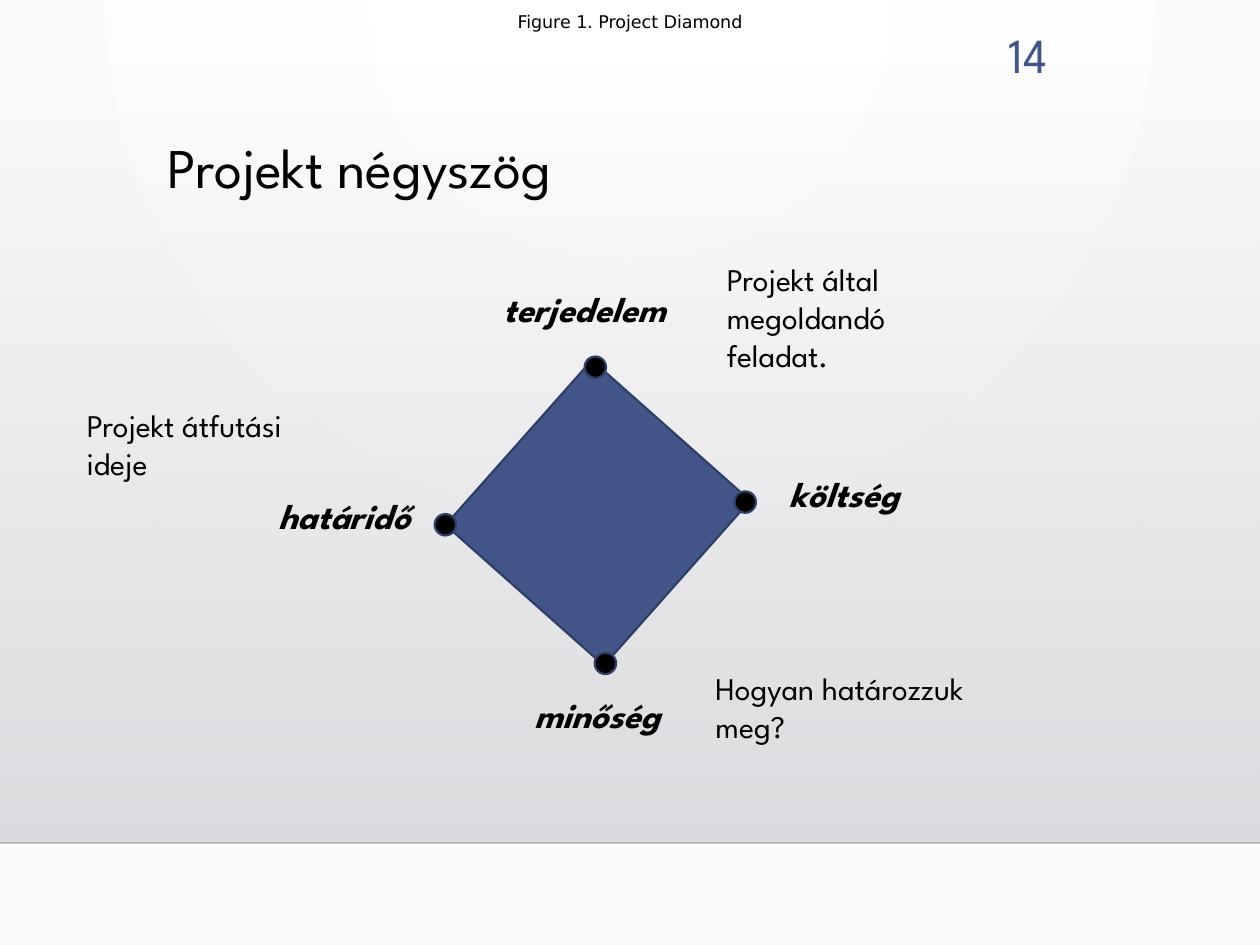
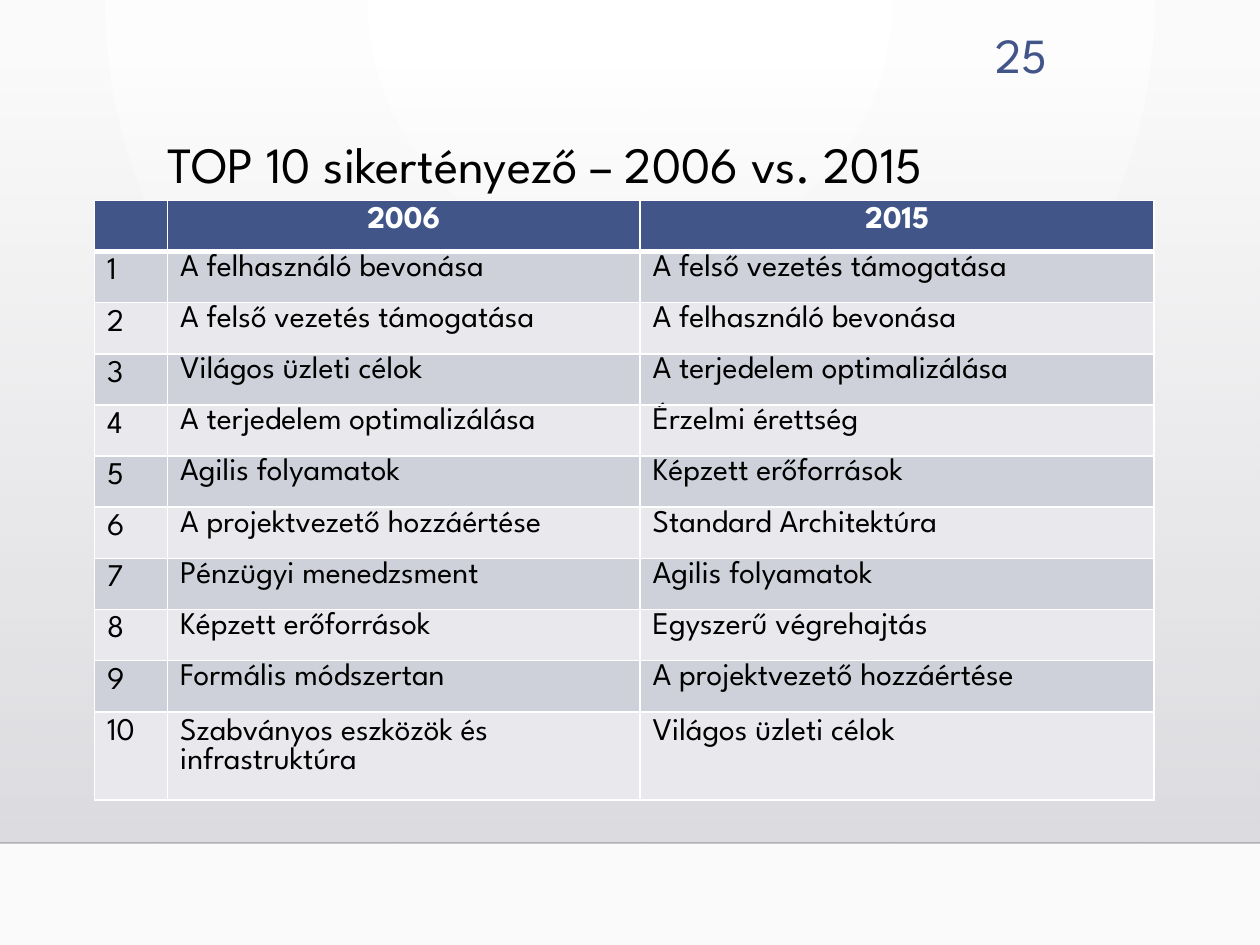
from dataclasses import dataclass

from lxml import etree
from pptx import Presentation
from pptx.dml.color import RGBColor
from pptx.enum.shapes import MSO_CONNECTOR, MSO_SHAPE
from pptx.enum.text import MSO_ANCHOR, MSO_AUTO_SIZE, PP_ALIGN
from pptx.oxml import parse_xml
from pptx.oxml.ns import nsdecls, qn
from pptx.util import Inches, Pt

RECT, OVAL = MSO_SHAPE.RECTANGLE, MSO_SHAPE.OVAL
STRAIGHT = MSO_CONNECTOR.STRAIGHT
LEFT, CENTER, RIGHT = PP_ALIGN.LEFT, PP_ALIGN.CENTER, PP_ALIGN.RIGHT
TOP, MIDDLE = MSO_ANCHOR.TOP, MSO_ANCHOR.MIDDLE
NO_AUTOFIT = MSO_AUTO_SIZE.NONE


@dataclass(frozen=True)
class Theme:
    font: str = "League Spartan"
    caption_font: str = "DejaVu Sans"
    black: str = "000000"
    white: str = "FFFFFF"
    accent: str = "415588"
    outline: str = "303F65"
    row_dark: str = "CFD1DA"
    row_light: str = "E9E9ED"
    body: int = 18
    label: int = 20
    number: int = 28
    caption: int = 10
    line_height: float = 1.21


T = Theme()


def write(tf, text, size=T.body, color=T.black, font=T.font, bold=False,
          italic=False, align=LEFT, anchor=TOP, spacing=None, before=0):
    """Fill a text frame; spacing is a multiple or an exact length."""
    tf.word_wrap = True
    tf.vertical_anchor = anchor
    p = tf.paragraphs[0]
    p.alignment = align
    p.line_spacing = spacing
    p.space_before = Pt(before)
    r = p.add_run()
    r.text = text
    r.font.name = font
    r.font.size = Pt(size)
    r.font.bold = bold
    r.font.italic = italic
    r.font.color.rgb = RGBColor.from_string(color)


def set_gradient(owner, start, end, start_alpha, direction):
    """Replace the first solid fill inside an element with a gradient."""
    solid = owner.find(".//" + qn("a:solidFill"))
    solid.getparent().replace(solid, parse_xml(
        f'<a:gradFill rotWithShape="1" {nsdecls("a")}><a:gsLst>'
        f'<a:gs pos="0"><a:srgbClr val="{start}"><a:alpha val="{start_alpha}"/></a:srgbClr></a:gs>'
        f'<a:gs pos="100000"><a:srgbClr val="{end}"/></a:gs>'
        f'</a:gsLst>{direction}</a:gradFill>'))


prs = Presentation()
prs.slide_width, prs.slide_height = Inches(10), Inches(7.5)
master = prs.slide_master
title_only = prs.slide_layouts[5]

# Shared background
master.background.fill.solid()
master.background.fill.fore_color.rgb = RGBColor.from_string(T.white)
set_gradient(master.element, "FFFFFF", "FAFAFA", 100000,
             '<a:path path="circle"><a:fillToRect l="43000" r="43000" b="100000"/></a:path>')

# Slides with their titles and numbers
slides = []
for title, size, number in [("Projekt négyszög", 32, "14"),
                            ("TOP 10 sikertényező – 2006 vs. 2015", 29, "25")]:
    s = prs.slides.add_slide(title_only)
    sp = s.shapes.title
    sp.left, sp.top, sp.width, sp.height = map(Inches, (1.23, 1.05, 7.19, 1.15))
    sp.text_frame.auto_size = NO_AUTOFIT
    write(sp.text_frame, title, size=size, spacing=Pt(size * T.line_height * 0.9))
    box = s.shapes.add_textbox(*map(Inches, (7.54, 0.14, 0.87, 0.55)))
    write(box.text_frame, number, size=T.number, color=T.accent, align=RIGHT,
          spacing=Pt(T.number * T.line_height))
    slides.append(s)
diamond_slide, factors_slide = slides

# Shaded band and its lower edge, moved to the master
band_bottom = Inches(6.69)
band = diamond_slide.shapes.add_shape(RECT, 0, Inches(0.51), prs.slide_width, Inches(6.18))
band.shadow.inherit = False
band.line.fill.background()
band.fill.solid()
band.fill.fore_color.rgb = RGBColor.from_string(T.white)
set_gradient(band.element, "DCDCE0", "DEDEE2", 0, '<a:lin ang="5400000" scaled="0"/>')
edge = diamond_slide.shapes.add_connector(STRAIGHT, 0, band_bottom, prs.slide_width, band_bottom)
edge.line.width = Pt(1)
edge.line.color.rgb = RGBColor.from_string("000001")
etree.SubElement(edge.element.find(".//" + qn("a:srgbClr")), qn("a:alpha"), val="20000")
etree.SubElement(edge.element.spPr, qn("a:effectLst"))
for position, part in enumerate((band, edge), start=2):
    master.shapes.element.insert(position, part.element)

# Project diamond
box = diamond_slide.shapes.add_textbox(0, 0, prs.slide_width, Inches(0.34))
write(box.text_frame, "Figure 1. Project Diamond", size=T.caption, font=T.caption_font,
      align=CENTER, anchor=MIDDLE)

dot = 0.17
corners = [(4.64, 2.83), (5.83, 3.9), (4.72, 5.18), (3.45, 4.08)]
outlined = [(RECT, 3.87, 3.23, 1.75, 1.68, 131.6, T.accent)]
outlined += [(OVAL, x, y, dot, dot, 0, T.black) for x, y in corners]
for kind, x, y, w, h, angle, color in outlined:
    sp = diamond_slide.shapes.add_shape(kind, *map(Inches, (x, y, w, h)))
    sp.rotation = angle
    sp.shadow.inherit = False
    sp.fill.solid()
    sp.fill.fore_color.rgb = RGBColor.from_string(color)
    sp.line.color.rgb = RGBColor.from_string(T.outline)
    sp.line.width = Pt(1.25)

for text, x, y, w in [("minőség", 4.14, 5.5, 1.36), ("terjedelem", 3.9, 2.28, 1.6),
                      ("határidő", 2.11, 3.92, 1.31), ("költség", 6.17, 3.75, 1.19)]:
    box = diamond_slide.shapes.add_textbox(*map(Inches, (x, y, w, 0.39)))
    write(box.text_frame, text, size=T.label, bold=True, italic=True,
          spacing=Pt(T.label * T.line_height * 0.85))

for text, x, y, w, h in [("Projekt által megoldandó feladat.", 5.67, 2.01, 1.85, 1.01),
                         ("Projekt átfutási ideje", 0.59, 3.17, 1.85, 0.71),
                         ("Hogyan határozzuk meg?", 5.58, 5.26, 2.74, 0.71)]:
    box = diamond_slide.shapes.add_textbox(*map(Inches, (x, y, w, h)))
    write(box.text_frame, text, spacing=Pt(T.body * T.line_height))

# Success factors table
factors = [
    ("A felhasználó bevonása", "A felső vezetés támogatása"),
    ("A felső vezetés támogatása", "A felhasználó bevonása"),
    ("Világos üzleti célok", "A terjedelem optimalizálása"),
    ("A terjedelem optimalizálása", "Érzelmi érettség"),
    ("Agilis folyamatok", "Képzett erőforrások"),
    ("A projektvezető hozzáértése", "Standard Architektúra"),
    ("Pénzügyi menedzsment", "Agilis folyamatok"),
    ("Képzett erőforrások", "Egyszerű végrehajtás"),
    ("Formális módszertan", "A projektvezető hozzáértése"),
    ("Szabványos eszközök és infrastruktúra", "Világos üzleti célok"),
]
rows = [("", "2006", "2015")]
rows += [(str(rank), *pair) for rank, pair in enumerate(factors, start=1)]
widths = [0.58, 3.75, 4.08]
row_height = Inches(4.06) // 10
table = factors_slide.shapes.add_table(
    len(rows), len(widths), Inches(0.75), Inches(1.59),
    Inches(sum(widths)), row_height * len(rows)).table
for column, width in zip(table.columns, widths):
    column.width = Inches(width)

for i, row in enumerate(rows):
    table.rows[i].height = row_height
    header, last = i == 0, i == len(factors)
    for j, text in enumerate(row):
        cell = table.cell(i, j)
        tight = j > 0 and not header and not last
        if text:
            write(cell.text_frame, text, bold=header, color=T.white if header else T.black,
                  align=CENTER if header else LEFT,
                  spacing=0.8 if tight else None, before=1.8 if tight else 0)
        borders = {"lnL": 1, "lnR": 1, "lnT": 3 if i == 1 else 1, "lnB": 3 if header else 1}
        tc_pr = cell._tc.get_or_add_tcPr()
        for side, points in borders.items():
            ln = etree.SubElement(tc_pr, qn(f"a:{side}"), w=str(Pt(points)))
            solid = etree.SubElement(ln, qn("a:solidFill"))
            etree.SubElement(solid, qn("a:srgbClr"), val=T.white)
        cell.fill.solid()
        color = T.accent if header else T.row_dark if i % 2 else T.row_light
        cell.fill.fore_color.rgb = RGBColor.from_string(color)

prs.save("out.pptx")
